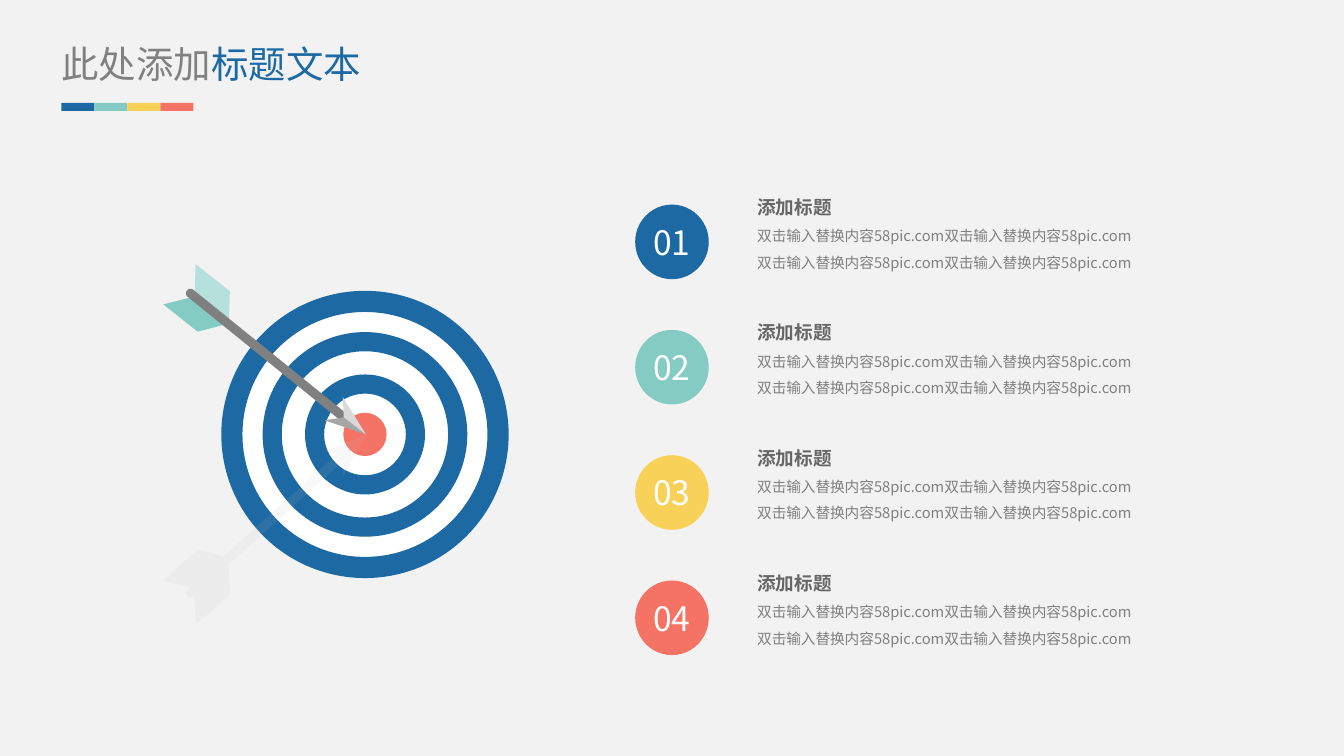
import math
from dataclasses import dataclass

from lxml import etree
from pptx import Presentation, util as u
from pptx.dml.color import RGBColor
from pptx.enum import shapes, text
from pptx.oxml.ns import qn


@dataclass(frozen=True)
class Theme:
    background: str = "F2F2F2"
    white: str = "FFFFFF"
    blue: str = "1D69A3"
    teal: str = "84CBC3"
    pale_teal: str = "B5E0DB"
    yellow: str = "F8D158"
    red: str = "F57365"
    gray: str = "808080"
    dark_gray: str = "666666"
    barb: str = "A6A6A6"
    light_barb: str = "D9D9D9"
    shadow: str = "BFBFBF"
    font: str = "Noto Sans CJK SC"
    title_size: float = 26.7
    number_size: float = 24
    heading_size: float = 13.3
    body_size: float = 10.5


THEME = Theme()
ACCENTS = [THEME.blue, THEME.teal, THEME.yellow, THEME.red]
TITLE = [("此处添加", THEME.gray), ("标题文本", THEME.blue)]
BODY_LINE = "双击输入替换内容58pic.com双击输入替换内容58pic.com"
ITEMS = [(number, "添加标题", [BODY_LINE, BODY_LINE]) for number in ("01", "02", "03", "04")]

TARGET_CENTER = (3.62, 4.31)
DISCS = [(2.82, THEME.white), (0.43, THEME.red)]
RINGS = [(2.85, 0.21), (2.03, 0.19), (1.19, 0.19)]

FEATHERS = [
    (THEME.teal, [(2.27, 3.21), (1.96, 3.29), (1.62, 3.02), (1.93, 2.94)]),
    (THEME.pale_teal, [(2.27, 3.21), (2.28, 2.89), (1.94, 2.62), (1.93, 2.94)]),
]
SHAFT = ((1.89, 2.91), (3.51, 4.22), 0.09)
BARBS = [
    (THEME.barb, [(3.22, 4.17), (3.63, 4.31), (3.41, 4.14)]),
    (THEME.light_barb, [(3.41, 4.14), (3.63, 4.31), (3.4, 3.94)]),
]
ARROW_SHADOW = [
    (3.63, 4.31), (3.4, 4.73), (3.41, 4.57), (2.27, 5.6), (2.28, 5.9), (1.94, 6.2),
    (1.93, 5.91), (1.9, 5.93), (1.86, 5.91), (1.85, 5.87), (1.88, 5.83), (1.62, 5.76),
    (1.96, 5.45), (2.22, 5.52), (3.35, 4.5), (3.22, 4.48),
]


def paint(shape, color):
    shape.shadow.inherit = False
    shape.fill.solid()
    shape.fill.fore_color.rgb = RGBColor.from_string(color)
    shape.line.fill.background()
    return shape


def add_preset(parent, kind, box, color):
    return paint(parent.shapes.add_shape(kind, *map(u.Inches, box)), color)


def add_polygon(parent, points, color):
    corners = [(u.Inches(x), u.Inches(y)) for x, y in points]
    builder = parent.shapes.build_freeform(*corners[0], scale=1.0)
    builder.add_line_segments(corners[1:], close=True)
    return paint(builder.convert_to_shape(), color)


def add_round(parent, kind, diameter, color):
    x, y = TARGET_CENTER
    box = (x - diameter / 2, y - diameter / 2, diameter, diameter)
    return add_preset(parent, kind, box, color)


def rounded_bar(start, end, width):
    angle = math.atan2(end[1] - start[1], end[0] - start[0])
    points = []
    for (x, y), turn in ((end, angle), (start, angle + math.pi)):
        for degrees in range(-90, 91, 15):
            direction = turn + math.radians(degrees)
            points.append((x + width / 2 * math.cos(direction), y + width / 2 * math.sin(direction)))
    return points


def format_run(run, size, color, bold=False):
    run.font.name = THEME.font
    run.font.size = u.Pt(size)
    run.font.bold = bold
    run.font.color.rgb = RGBColor.from_string(color)
    east_asian = etree.SubElement(run.font._element, qn("a:ea"))
    east_asian.set("typeface", THEME.font)


def clear_margins(frame):
    frame.margin_left = frame.margin_right = frame.margin_top = frame.margin_bottom = 0
    frame.word_wrap = True


def add_text_frame(slide, box):
    frame = slide.shapes.add_textbox(*map(u.Inches, box)).text_frame
    clear_margins(frame)
    frame.auto_size = text.MSO_AUTO_SIZE.SHAPE_TO_FIT_TEXT
    return frame


def add_target(slide):
    target = slide.shapes.add_group_shape()
    for diameter, color in DISCS:
        add_round(target, shapes.MSO_SHAPE.OVAL, diameter, color)
    for diameter, thickness in RINGS:
        ring = add_round(target, shapes.MSO_SHAPE.DONUT, diameter, THEME.blue)
        ring.adjustments[0] = thickness / diameter


def add_arrow(slide):
    arrow = slide.shapes.add_group_shape()
    for color, points in [*FEATHERS, (THEME.gray, rounded_bar(*SHAFT)), *BARBS]:
        add_polygon(arrow, points, color)
    shadow = add_polygon(slide, ARROW_SHADOW, THEME.shadow)
    color_element = shadow._element.spPr.find(qn("a:solidFill"))[0]
    etree.SubElement(color_element, qn("a:alpha")).set("val", "10000")


def add_item(slide, index, item, color):
    number, heading, body = item
    offset = index * 1.243
    frame = add_text_frame(slide, (7.51, 1.9 + offset, 3.88, 0.77))
    frame.text = "\n".join([heading, *body])
    for position, paragraph in enumerate(frame.paragraphs):
        is_heading = position == 0
        paragraph.line_spacing = 1.2 if is_heading else 1.5
        size = THEME.heading_size if is_heading else THEME.body_size
        ink = THEME.dark_gray if is_heading else THEME.gray
        format_run(paragraph.runs[0], size, ink, is_heading)

    badge = add_preset(slide, shapes.MSO_SHAPE.OVAL, (6.3, 2.03 + offset, 0.73, 0.74), color)
    clear_margins(badge.text_frame)
    badge.text_frame.vertical_anchor = text.MSO_ANCHOR.MIDDLE
    badge.text_frame.text = number
    paragraph = badge.text_frame.paragraphs[0]
    paragraph.alignment = text.PP_ALIGN.CENTER
    format_run(paragraph.runs[0], THEME.number_size, THEME.white)


def add_title(slide):
    paragraph = add_text_frame(slide, (0.61, 0.41, 4.05, 0.45)).paragraphs[0]
    for words, color in TITLE:
        run = paragraph.add_run()
        run.text = words
        format_run(run, THEME.title_size, color)
    stripe = slide.shapes.add_group_shape()
    for index, color in enumerate(ACCENTS):
        box = (0.61 + index * 0.327, 1.02, 0.327, 0.08)
        add_preset(stripe, shapes.MSO_SHAPE.RECTANGLE, box, color)


def main():
    presentation = Presentation()
    presentation.slide_width = u.Inches(13.33)
    presentation.slide_height = u.Inches(7.5)
    slide = presentation.slides.add_slide(presentation.slide_layouts[6])
    slide.background.fill.solid()
    slide.background.fill.fore_color.rgb = RGBColor.from_string(THEME.background)

    add_target(slide)
    add_arrow(slide)
    for index, (item, color) in enumerate(zip(ITEMS, ACCENTS)):
        add_item(slide, index, item, color)
    add_title(slide)
    presentation.save("out.pptx")


if __name__ == "__main__":
    main()
